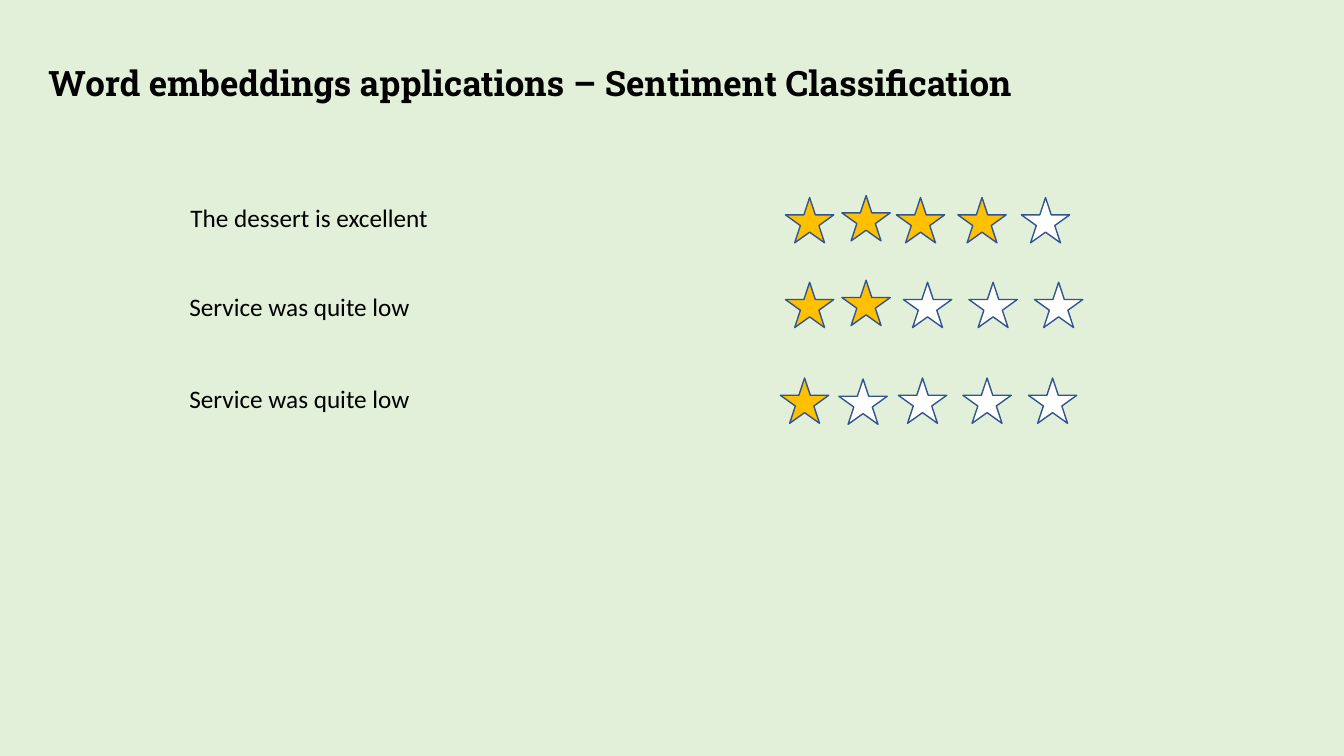
from pptx import Presentation
from pptx.dml.color import RGBColor
from pptx.enum import shapes, text
from pptx.util import Inches, Pt

BACKGROUND, BLACK, GOLD, WHITE, OUTLINE = "E2F0D9", "000000", "FFC000", "FFFFFF", "325491"
STAR_WIDTH, STAR_HEIGHT = 0.48, 0.45

REVIEWS = [
    ("The dessert is excellent", (1.79, 1.96), 4, (7.79, 1.96),
     [(0, 0), (0.56, -0.02), (1.1, 0), (1.71, 0), (2.34, 0)]),
    ("Service was quite low", (1.78, 2.84), 2, (7.79, 2.8),
     [(0, 0), (0.56, -0.02), (1.17, 0), (1.82, 0), (2.47, 0)]),
    ("Service was quite low", (1.78, 3.75), 1, (7.74, 3.75),
     [(0, 0), (0.58, 0.01), (1.17, 0), (1.81, 0), (2.46, 0)]),
]


def color(value):
    """Return the colour for a hex string."""
    return RGBColor.from_string(value)


def write_text(shape, words, font_name, size, bold=False):
    """Write one left-aligned paragraph into a shape."""
    frame = shape.text_frame
    frame.word_wrap = True
    frame.auto_size = text.MSO_AUTO_SIZE.NONE
    frame.vertical_anchor = text.MSO_ANCHOR.TOP
    frame.text = words
    paragraph = frame.paragraphs[0]
    paragraph.alignment = text.PP_ALIGN.LEFT
    paragraph.font.name = font_name
    paragraph.font.size = Pt(size)
    paragraph.font.bold = bold
    paragraph.font.color.rgb = color(BLACK)


def add_title(slide, left, top, width, height):
    """Place and fill the title placeholder."""
    title = slide.shapes.title
    title.left, title.top = Inches(left), Inches(top)
    title.width, title.height = Inches(width), Inches(height)
    write_text(title, "Word embeddings applications – Sentiment Classification",
               "Roboto Slab", 25, bold=True)


def add_review(slide, left, top, width, height, words):
    """Add the sentence of one review."""
    box = slide.shapes.add_textbox(Inches(left), Inches(top), Inches(width), Inches(height))
    write_text(box, words, "Calibri", 18)


def add_rating(slide, left, top, score, offsets):
    """Add a row of stars, the first ones gold up to the score."""
    for index, (across, down) in enumerate(offsets):
        star = slide.shapes.add_shape(
            shapes.MSO_SHAPE.STAR_5_POINT, Inches(left + across), Inches(top + down),
            Inches(STAR_WIDTH), Inches(STAR_HEIGHT))
        star.shadow.inherit = False
        star.fill.solid()
        star.fill.fore_color.rgb = color(GOLD if index < score else WHITE)
        star.line.color.rgb = color(OUTLINE)
        star.line.width = Pt(1)


def main():
    """Build the slide and save it."""
    presentation = Presentation()
    presentation.slide_width, presentation.slide_height = Inches(13.33), Inches(7.5)
    slide = presentation.slides.add_slide(presentation.slide_layouts.get_by_name("Title Only"))
    slide.background.fill.solid()
    slide.background.fill.fore_color.rgb = color(BACKGROUND)
    add_title(slide, 0.38, 0.56, 10.52, 0.52)
    for words, (left, top), score, (star_left, star_top), offsets in REVIEWS:
        add_review(slide, left, top, 3.18, 0.4, words)
        add_rating(slide, star_left, star_top, score, offsets)
    presentation.save("out.pptx")


if __name__ == "__main__":
    main()
